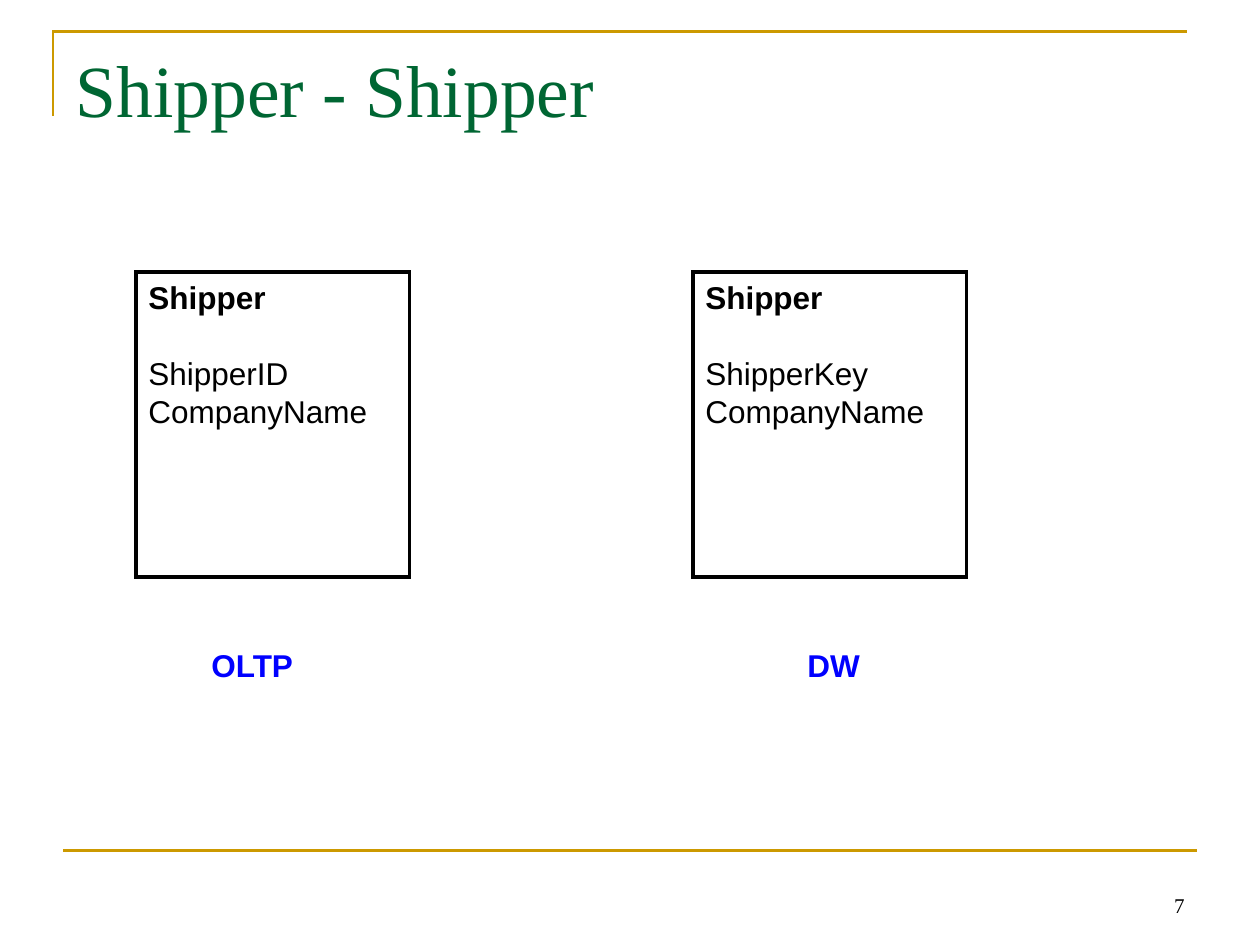
from pptx import Presentation
from pptx.dml.color import RGBColor
from pptx.enum.shapes import MSO_CONNECTOR as CONN, MSO_SHAPE as SHAPE
from pptx.enum.text import MSO_ANCHOR as ANCHOR, MSO_AUTO_SIZE as FIT, PP_ALIGN as ALIGN
from pptx.oxml.ns import qn
from pptx.util import Inches, Pt
from lxml.etree import SubElement

TITLE = "Shipper - Shipper"
PAGE = "7"
TABLES = [
    {"left": 1.08, "name": "Shipper", "fields": ["ShipperID", "CompanyName"],
     "label": "OLTP", "label_left": 1.58, "label_width": 0.86},
    {"left": 5.5, "name": "Shipper", "fields": ["ShipperKey", "CompanyName"],
     "label": "DW", "label_left": 6.31, "label_width": 0.61},
]
BOX_TOP, BOX_W, BOX_H = 2.16, 2.17, 2.42
LABEL_TOP, LABEL_H = 5.08, 0.4

GOLD = RGBColor(0xCC, 0x99, 0x00)
GREEN = RGBColor(0x00, 0x66, 0x33)
BLUE = RGBColor(0x00, 0x00, 0xFF)
BLACK = RGBColor(0x00, 0x00, 0x00)
WHITE = RGBColor(0xFF, 0xFF, 0xFF)
SANS, SERIF = "Arial", "Times New Roman"


def inches(*values):
    """Convert numbers to inch lengths."""
    return [Inches(v) for v in values]


def write(p, text, size, font, color, bold=False, align=ALIGN.LEFT):
    """Add one formatted run to a paragraph."""
    p.alignment = align
    r = p.add_run()
    r.text = text
    r.font.size, r.font.name, r.font.bold = Pt(size), font, bold
    r.font.color.rgb = color


def stroke(shape, color, width):
    """Set the line of a shape, with sharp corners."""
    shape.line.color.rgb = color
    shape.line.width = Pt(width)
    SubElement(shape.line._get_or_add_ln(), qn("a:miter"), lim="800000")


def add_frame(s):
    """Draw the corner bracket and the footer rule."""
    builder = s.shapes.build_freeform(*inches(0.42, 0.92))
    builder.add_line_segments([inches(0.42, 0.25), inches(9.42, 0.25)], close=False)
    bracket = builder.convert_to_shape()
    bracket.fill.background()
    bracket.shadow.inherit = False
    rule = s.shapes.add_connector(CONN.STRAIGHT, *inches(0.5, 6.75, 9.5, 6.75))
    SubElement(rule._element.spPr, qn("a:effectLst"))
    for line in (bracket, rule):
        stroke(line, GOLD, 1.5)


def add_title(s):
    """Place and fill the title."""
    sp = s.shapes.title
    sp.left, sp.top, sp.width, sp.height = inches(0.5, 0.3, 9, 1.25)
    tf = sp.text_frame
    tf.vertical_anchor = ANCHOR.TOP
    tf.margin_top = Inches(0.05)
    write(tf.paragraphs[0], TITLE, 42, SERIF, GREEN)


def add_page_number(s):
    """Write the page number at the lower right."""
    tf = s.shapes.add_textbox(*inches(7.17, 6.83, 2.33, 0.5)).text_frame
    tf.word_wrap = True
    tf.vertical_anchor = ANCHOR.BOTTOM
    write(tf.paragraphs[0], PAGE, 12, SERIF, BLACK, align=ALIGN.RIGHT)


def add_table_box(s, table):
    """Draw one entity box with its caption."""
    sp = s.shapes.add_shape(SHAPE.RECTANGLE, *inches(table["left"], BOX_TOP, BOX_W, BOX_H))
    sp.shadow.inherit = False
    sp.fill.solid()
    sp.fill.fore_color.rgb = WHITE
    stroke(sp, BLACK, 2)
    tf = sp.text_frame
    tf.word_wrap = False
    tf.vertical_anchor = ANCHOR.TOP
    for i, text in enumerate([table["name"], *table["fields"]]):
        p = tf.add_paragraph() if i else tf.paragraphs[0]
        p.space_before = Pt(21.6 if i == 1 else 0)
        write(p, text, 18, SANS, BLACK, bold=i == 0)

    label = s.shapes.add_textbox(
        *inches(table["label_left"], LABEL_TOP, table["label_width"], LABEL_H))
    tf = label.text_frame
    tf.word_wrap = False
    tf.auto_size = FIT.SHAPE_TO_FIT_TEXT
    tf.margin_right = 0
    write(tf.paragraphs[0], table["label"], 18, SANS, BLUE, bold=True)


def main():
    """Build the slide and save it."""
    prs = Presentation()
    prs.slide_width, prs.slide_height = inches(10, 7.5)
    s = prs.slides.add_slide(prs.slide_layouts[5])
    add_frame(s)
    add_page_number(s)
    add_title(s)
    for table in TABLES:
        add_table_box(s, table)
    prs.save("out.pptx")


if __name__ == "__main__":
    main()
